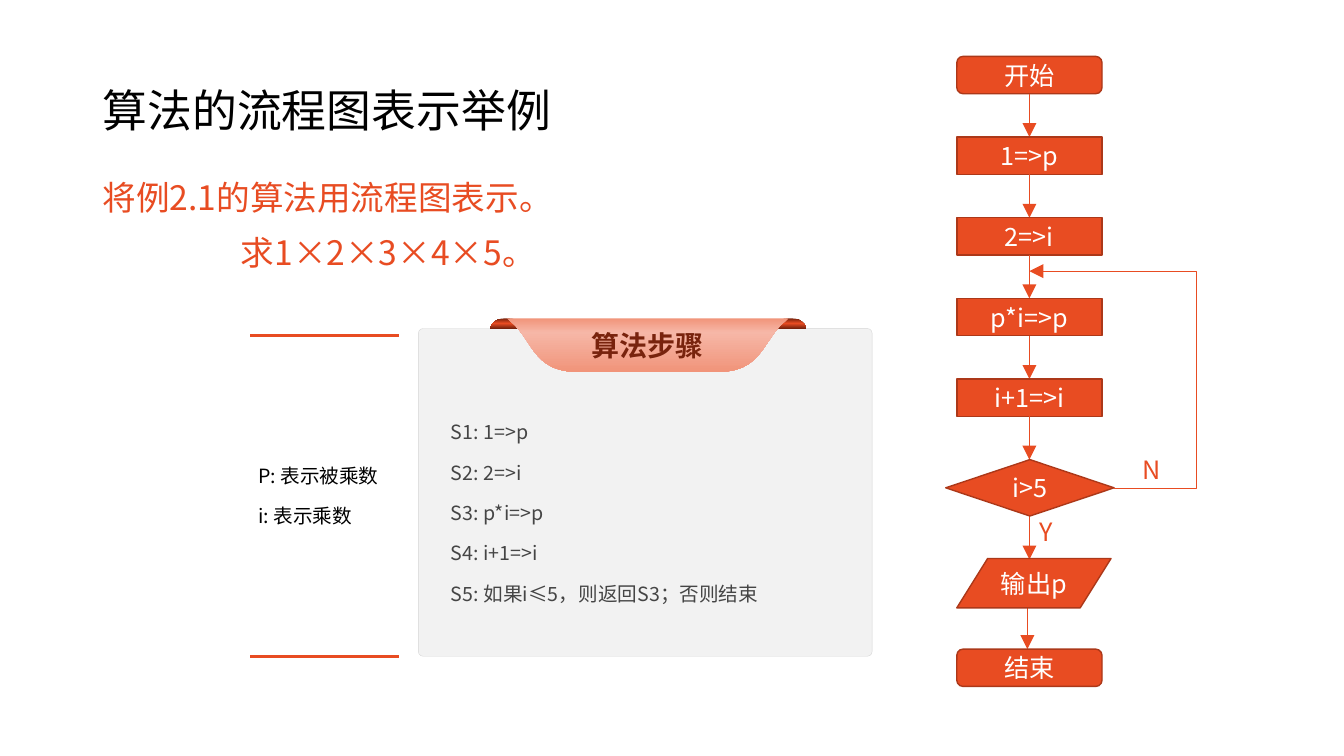
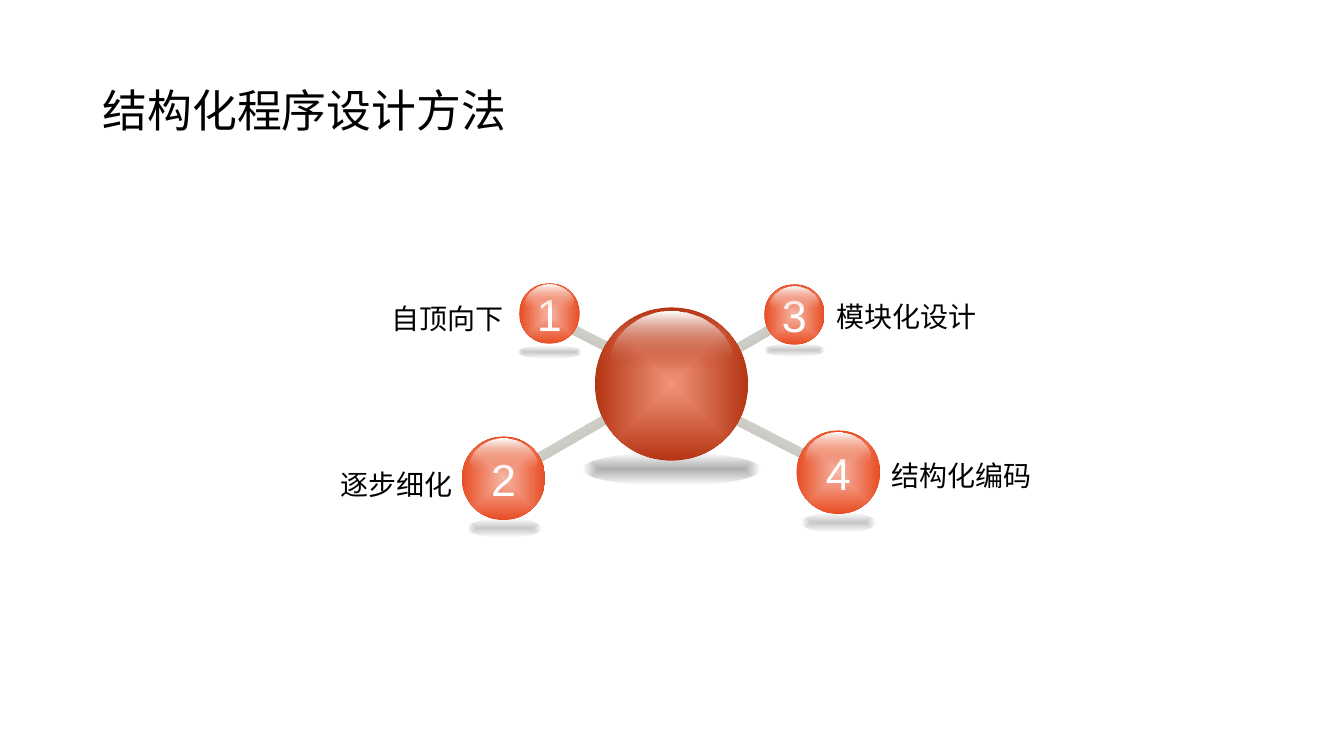
from pptx import Presentation
from pptx.dml.color import RGBColor
from pptx.enum.shapes import MSO_CONNECTOR, MSO_SHAPE
from pptx.enum.text import MSO_ANCHOR, PP_ALIGN
from pptx.oxml import parse_xml
from pptx.oxml.ns import nsdecls, qn
from pptx.oxml.xmlchemy import OxmlElement
from pptx.util import Inches, Pt

COLORS = {
    "accent": "E84C22", "outline": "AC3819", "maroon": "78230D",
    "rust": "B53513", "salmon": "F1947A", "pink": "F6B7A7",
    "black": "000000", "white": "FFFFFF", "text": "454545",
    "card": "F2F2F2", "card_line": "D5D5D5",
    "spoke_dark": "ABAB9F", "spoke_light": "EEEEEC",
}
FONT = "Noto Sans CJK SC"
NUMBER_FONT = "Arial"
GLOSS_HALF = [
    (0, 0), (0.12, 0), (0.25, 0.02), (0.37, 0.06), (0.49, 0.11), (0.59, 0.17),
    (0.69, 0.24), (0.78, 0.33), (0.86, 0.42), (0.93, 0.53), (0.98, 0.64),
    (1, 0.73), (0.98, 0.82), (0.9, 0.89), (0.8, 0.95), (0.64, 0.98), (0.39, 1),
]


def curve(start, first, second, end, steps=12):
    points = []
    for step in range(1, steps + 1):
        t = step / steps
        weights = ((1 - t) ** 3, 3 * t * (1 - t) ** 2, 3 * t * t * (1 - t), t ** 3)
        corners = (start, first, second, end)
        points.append(tuple(sum(w * c[axis] for w, c in zip(weights, corners))
                            for axis in (0, 1)))
    return points


def mirror(points, center):
    return points + [(2 * center - x, y) for x, y in reversed(points)]


class Deck:
    def __init__(self):
        self.presentation = Presentation()
        self.presentation.slide_width = Inches(13.33)
        self.presentation.slide_height = Inches(7.5)
        self.slide = None

    def add_slide(self, title):
        self.slide = self.presentation.slides.add_slide(self.presentation.slide_layouts[6])
        self.text(0.92, 0.4, 11.5, 1.45, [title], 32, spacing=0.9)

    def set_text(self, shape, lines, size, color="black", font=FONT, bold=False,
                 align=PP_ALIGN.LEFT, anchor=MSO_ANCHOR.MIDDLE, spacing=None,
                 before=0, after=0, insets=(0.1, 0.05, 0.1, 0.05), wrap=True):
        frame = shape.text_frame
        frame.word_wrap = wrap
        frame.vertical_anchor = anchor
        (frame.margin_left, frame.margin_top,
         frame.margin_right, frame.margin_bottom) = map(Inches, insets)
        frame.text = "\n".join(lines)
        for paragraph in frame.paragraphs:
            paragraph.alignment = align
            paragraph.line_spacing = spacing
            paragraph.space_before = Pt(before)
            paragraph.space_after = Pt(after)
            paragraph.font.size = Pt(size)
            paragraph.font.bold = bold
            paragraph.font.color.rgb = RGBColor.from_string(COLORS[color])
            paragraph.font.name = font
            east_asian = OxmlElement("a:ea")
            east_asian.set("typeface", font)
            paragraph.font._rPr.append(east_asian)
        return shape

    def text(self, left, top, width, height, lines, size, **style):
        box = self.slide.shapes.add_textbox(
            Inches(left), Inches(top), Inches(width), Inches(height))
        return self.set_text(box, lines, size, **style)

    def paint(self, shape, fill=None, line=None, weight=1):
        shape.shadow.inherit = False
        if fill:
            shape.fill.solid()
            shape.fill.fore_color.rgb = RGBColor.from_string(COLORS[fill])
        else:
            shape.fill.background()
        if line:
            shape.line.color.rgb = RGBColor.from_string(COLORS[line])
            shape.line.width = Pt(weight)
        else:
            shape.line.fill.background()
        return shape

    def gradient(self, shape, stops, radial=False):
        self.paint(shape)
        shape.fill.gradient()
        stop_xml = "".join(
            f'<a:gs pos="{position * 1000}"><a:srgbClr val="{COLORS[color]}">'
            f'<a:alpha val="{alpha * 1000}"/></a:srgbClr></a:gs>'
            for position, color, alpha in stops)
        direction = ('<a:path path="shape"><a:fillToRect l="50000" t="50000" '
                     'r="50000" b="50000"/></a:path>' if radial
                     else '<a:lin ang="5400000" scaled="0"/>')
        properties = shape._element.spPr
        properties.replace(properties.find(qn("a:gradFill")), parse_xml(
            f'<a:gradFill {nsdecls("a")} rotWithShape="1"><a:gsLst>{stop_xml}'
            f'</a:gsLst>{direction}</a:gradFill>'))
        return shape

    def shape(self, kind, left, top, width, height):
        return self.slide.shapes.add_shape(
            kind, Inches(left), Inches(top), Inches(width), Inches(height))

    def outline(self, points, close=True):
        builder = self.slide.shapes.build_freeform(
            Inches(points[0][0]), Inches(points[0][1]))
        builder.add_line_segments(
            [(Inches(x), Inches(y)) for x, y in points[1:]], close=close)
        return builder.convert_to_shape()

    def arrowhead(self, shape):
        tail = OxmlElement("a:tailEnd")
        for name, value in (("type", "triangle"), ("w", "lg"), ("len", "lg")):
            tail.set(name, value)
        shape.line._get_or_add_ln().append(tail)

    def line(self, start, end, weight, arrow=False):
        connector = self.slide.shapes.add_connector(
            MSO_CONNECTOR.STRAIGHT, *map(Inches, start + end))
        connector.line.color.rgb = RGBColor.from_string(COLORS["accent"])
        connector.line.width = Pt(weight)
        connector._element.spPr.append(OxmlElement("a:effectLst"))
        if arrow:
            self.arrowhead(connector)

    def node(self, kind, left, top, width, height, label):
        node = self.paint(self.shape(kind, left, top, width, height), "accent", "outline")
        self.set_text(node, [label], 18, "white", align=PP_ALIGN.CENTER, wrap=False)

    def spoke(self, left, top, width, rotation):
        spoke = self.shape(MSO_SHAPE.ROUNDED_RECTANGLE, left, top, width, 0.09)
        spoke.adjustments[0] = 0.5
        spoke.rotation = rotation
        self.gradient(spoke, [(0, "spoke_light", 100), (100, "spoke_dark", 100)])

    def shade(self, left, top, width, height, alpha):
        self.gradient(self.shape(MSO_SHAPE.OVAL, left, top, width, height),
                      [(0, "black", alpha), (97, "black", 0)], radial=True)

    def ball(self, left, top, size, inner, outer, glow, number=None):
        ball = self.shape(MSO_SHAPE.OVAL, left, top, size, size)
        self.gradient(ball, [(0, inner, 100), (100, outer, 100)], radial=True)
        if number:
            self.set_text(ball, [number], 32, "white", NUMBER_FONT,
                          align=PP_ALIGN.CENTER, insets=(0, 0, 0, 0))
        center = left + size / 2
        half = [(center + x * size * 0.39, top + size * (0.03 + y * 0.37))
                for x, y in GLOSS_HALF]
        self.gradient(self.outline(mirror(half, center)),
                      [(0, "white", 100), (100, glow, 0)])


def steps_card(deck):
    card = deck.shape(MSO_SHAPE.ROUNDED_RECTANGLE, 4.15, 3.26, 4.5, 3.25)
    card.adjustments[0] = 0.014
    deck.paint(card, "card", "card_line", 0.25)
    deck.set_text(card, ["S1: 1=>p", "S2: 2=>i", "S3: p*i=>p", "S4: i+1=>i",
                         "S5: 如果i≤5，则返回S3；否则结束"],
                  14, "text", align=PP_ALIGN.JUSTIFY, before=6, after=6,
                  insets=(0.31, 0.79, 0.31, 0.39))
    for left in (4.86, 7.67):
        fold = [(left, 3.26)] + curve((left, 3.26), (left + 0.02, 3.21),
                                      (left + 0.06, 3.16), (left + 0.14, 3.16))
        deck.gradient(deck.outline(mirror(fold, left + 0.165)),
                      [(0, "maroon", 100), (49, "accent", 100), (100, "maroon", 100)])
    side = [(5.03, 3.16), (5.11, 3.23)] + curve(
        (5.11, 3.23), (5.29, 3.42), (5.32, 3.69), (5.73, 3.69))
    ribbon = deck.gradient(deck.outline(mirror(side, 6.425)),
                           [(0, "salmon", 100), (26, "pink", 100), (100, "salmon", 100)])
    deck.set_text(ribbon, ["算法步骤"], 20, "maroon", bold=True, align=PP_ALIGN.CENTER)


def flowchart(deck):
    left, center, width, height, pitch = 9.49, 10.21, 1.44, 0.37, 0.8
    terminal = MSO_SHAPE.FLOWCHART_ALTERNATE_PROCESS
    for index, label in enumerate(["开始", "1=>p", "2=>i", "p*i=>p", "i+1=>i"]):
        top = 0.56 + index * pitch
        deck.node(MSO_SHAPE.FLOWCHART_PROCESS if index else terminal,
                  left, top, width, height, label)
        deck.line((center, top + height), (center, top + pitch), 0.5, arrow=True)
    deck.line((center, 5.12), (center, 5.55), 0.5, arrow=True)
    deck.line((10.19, 6.01), (10.19, 6.44), 0.5, arrow=True)
    deck.node(MSO_SHAPE.FLOWCHART_DECISION, 9.38, 4.56, 1.67, 0.56, "i>5")
    deck.node(MSO_SHAPE.FLOWCHART_DATA, left, 5.54, 1.53, 0.49, "输出p")
    deck.node(terminal, left, 6.44, width, height, "结束")
    loop = deck.outline([(11.05, 4.84), (11.87, 4.84), (11.87, 2.69), (center, 2.69)],
                        close=False)
    deck.arrowhead(deck.paint(loop, line="accent", weight=0.5))
    for x, y, label in ((center, 5.05, "Y"), (11.23, 4.43, "N")):
        deck.text(x, y, 0.54, 0.45, [label], 18, color="accent")


def example_slide(deck):
    deck.add_slide("算法的流程图表示举例")
    task = deck.text(0.92, 1.71, 9.09, 1.2,
                     ["将例2.1的算法用流程图表示。", "求1×2×3×4×5。"],
                     24, color="accent", anchor=MSO_ANCHOR.TOP, spacing=1.0, before=10)
    formula = task.text_frame.paragraphs[1]
    formula._p.get_or_add_pPr().set("marL", str(Inches(1.37)))
    steps_card(deck)
    flowchart(deck)
    for y in (3.33, 6.51):
        deck.line((2.48, y), (3.96, y), 2)
    deck.text(2.48, 3.33, 1.49, 3.18, ["P: 表示被乘数", "i: 表示乘数"], 14,
              align=PP_ALIGN.JUSTIFY, before=6, after=6, insets=(0.08,) * 4)


def method_slide(deck):
    deck.add_slide("结构化程序设计方法")
    for spoke in ((6.92, 3.38, 0.9, 330), (5.5, 3.36, 0.9, 27),
                  (5.12, 4.3, 1.13, 330), (7.13, 4.27, 0.93, 27)):
        deck.spoke(*spoke)
    for shade in ((5.78, 4.49, 1.76, 0.33, 32), (5.13, 3.43, 0.64, 0.13, 22),
                  (4.64, 5.15, 0.73, 0.18, 22), (7.58, 3.41, 0.6, 0.13, 22),
                  (7.95, 5.09, 0.73, 0.19, 22)):
        deck.shade(*shade)
    balls = [(5.15, 2.81, 0.6), (4.58, 4.33, 0.83), (7.58, 2.82, 0.6), (7.9, 4.27, 0.83)]
    for number, ball in enumerate(balls, 1):
        deck.ball(*ball, "pink", "accent", "salmon", str(number))
    deck.ball(5.9, 3.05, 1.52, "salmon", "rust", "rust")
    for left, top, width, align, label in (
            (2.35, 2.45, 2.74, PP_ALIGN.RIGHT, "自顶向下"),
            (2.35, 4.1, 2.24, PP_ALIGN.RIGHT, "逐步细化"),
            (8.2, 2.43, 2.62, PP_ALIGN.LEFT, "模块化设计"),
            (8.74, 4.01, 2.08, PP_ALIGN.LEFT, "结构化编码")):
        deck.text(left, top, width, 1.31, [label], 20, align=align, spacing=1.3)


def main():
    deck = Deck()
    example_slide(deck)
    method_slide(deck)
    deck.presentation.save("out.pptx")


if __name__ == "__main__":
    main()
